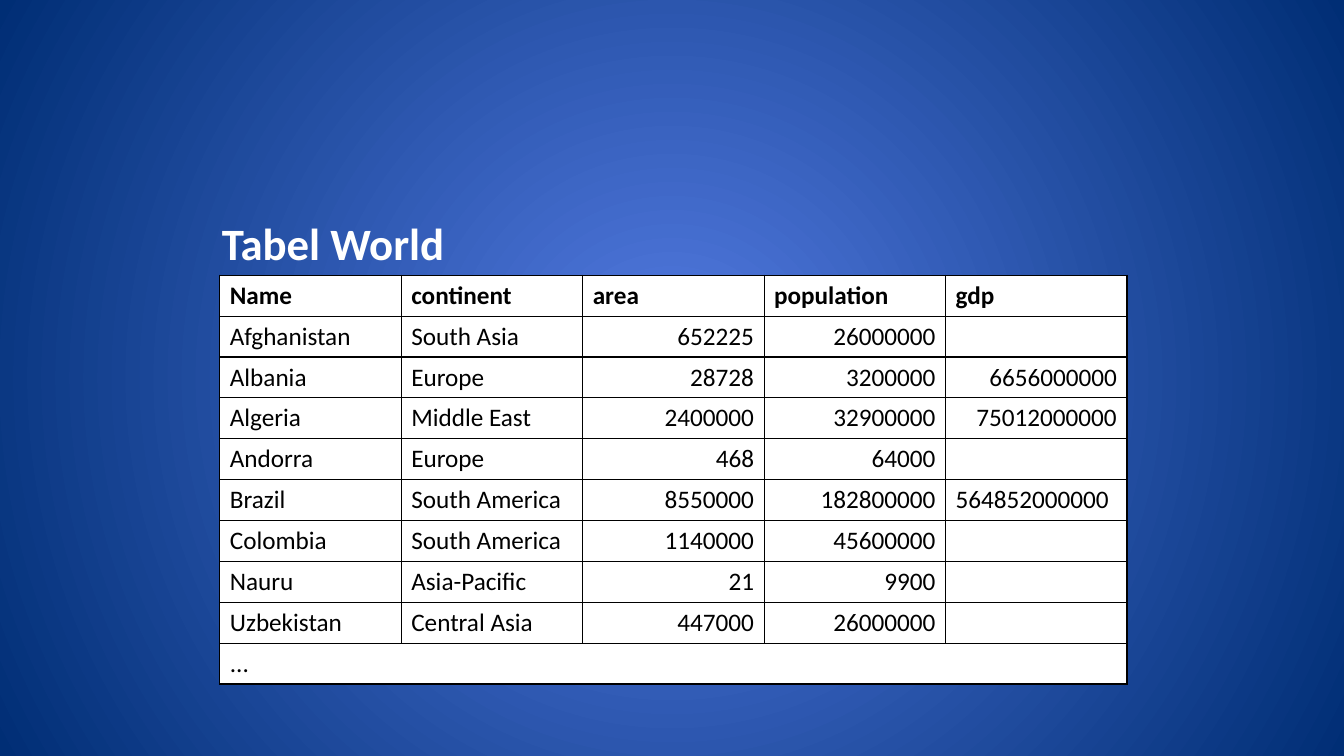
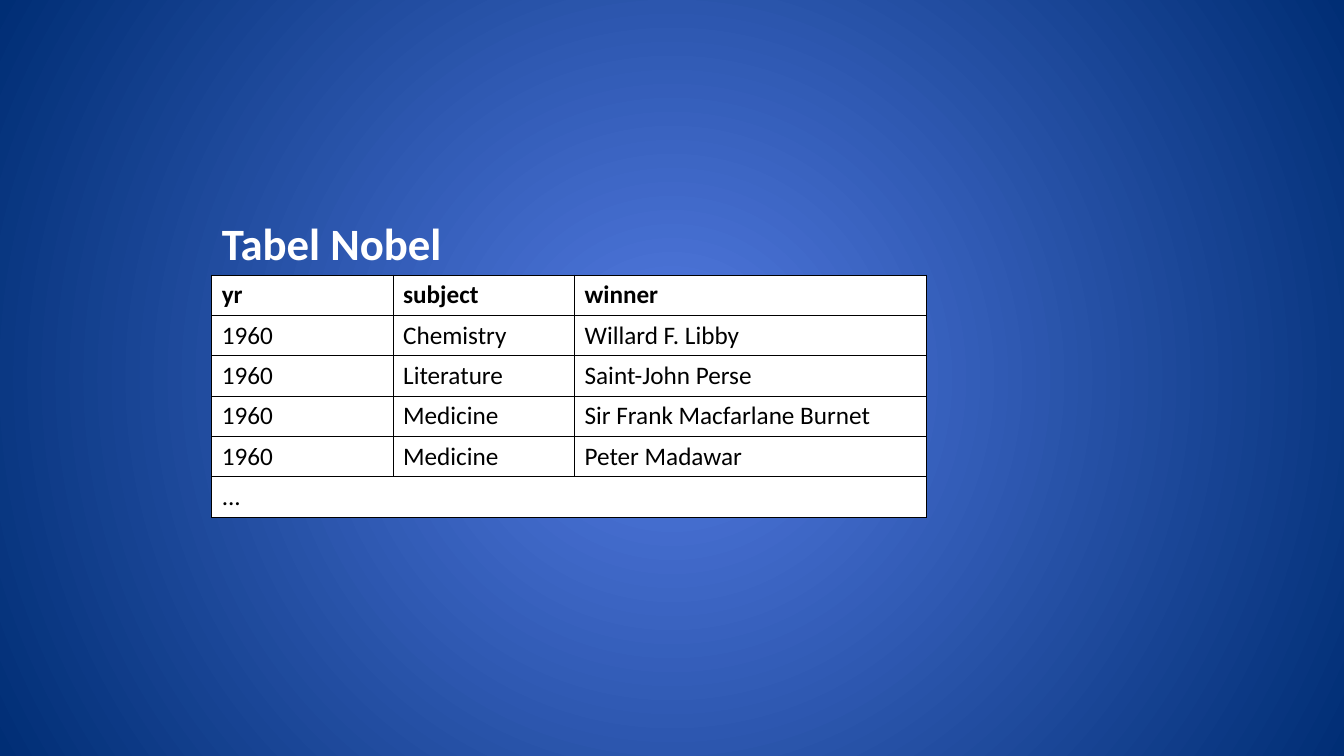
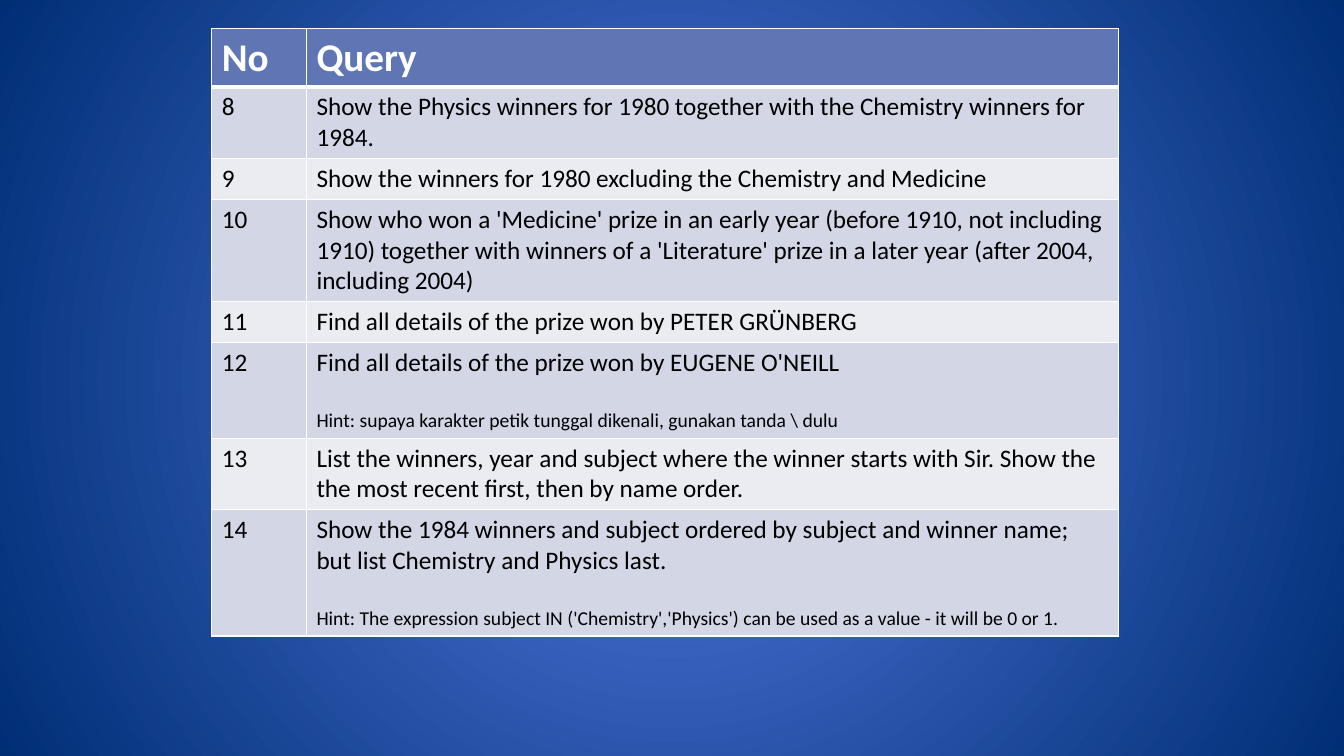
"""Build three slides: two sample data tables and a table of query exercises."""
from lxml.etree import SubElement
from pptx import Presentation
from pptx.dml.color import RGBColor
from pptx.enum.text import MSO_ANCHOR, MSO_AUTO_SIZE, PP_ALIGN
from pptx.oxml import parse_xml
from pptx.oxml.ns import nsdecls, qn
from pptx.util import Pt

COLORS = {
    "white": "FFFFFF",
    "black": "000000",
    "glow": "547BE2",
    "navy": "002E75",
    "header": "6076B4",
    "band_dark": "D2D6E5",
    "band_light": "EAECF2",
}
FONT = "Calibri"
LEFT = 151.2
COL = 129.6
LINE = 22


def style_run(r, size, color, bold=False):
    r.font.name = FONT
    r.font.size = Pt(size)
    r.font.bold = bold
    r.font.color.rgb = RGBColor.from_string(COLORS[color])


def add_grid(s, left, top, widths, heights, rows, fills, line, head_color, head_size, head_rule, pad):
    frame = s.shapes.add_table(len(rows), len(widths), Pt(left), Pt(top), Pt(sum(widths)), Pt(sum(heights)))
    table = frame.table
    for column, width in zip(table.columns, widths):
        column.width = Pt(width)
    for i, (row, height) in enumerate(zip(rows, heights)):
        table.rows[i].height = Pt(height)
        for j in range(len(widths)):
            cell = table.cell(i, j)
            cell.margin_top = cell.margin_bottom = Pt(pad)
            cell.fill.solid()
            fill = fills[0] if i == 0 else fills[1 + (i - 1) % 2]
            cell.fill.fore_color.rgb = RGBColor.from_string(COLORS[fill])
            sides = {"L": 1, "R": 1, "T": head_rule if i == 1 else 1, "B": head_rule if i == 0 else 1}
            tcPr = cell._tc.get_or_add_tcPr()
            for n, (side, weight) in enumerate(sides.items()):
                ln = parse_xml(f'<a:ln{side} {nsdecls("a")} w="{Pt(weight)}"/>')
                solid = SubElement(ln, qn("a:solidFill"))
                SubElement(solid, qn("a:srgbClr"), val=COLORS[line])
                tcPr.insert(n, ln)
            text = row[j] if j < len(row) else ""
            if not text:
                continue
            tf = cell.text_frame
            for k, part in enumerate(text.split("\n")):
                p = tf.add_paragraph() if k else tf.paragraphs[0]
                r = p.add_run()
                r.text = part
                if i == 0:
                    style_run(r, head_size, head_color, True)
                else:
                    style_run(r, 14 if k else 18, "black")
                if k:
                    p.space_before = Pt(LINE)
                if i and j >= 2 and part.isdigit() and len(part) < 12:
                    p.alignment = PP_ALIGN.RIGHT
        if len(row) == 1:
            table.cell(i, 0).merge(table.cell(i, len(widths) - 1))


prs = Presentation()
prs.slide_width, prs.slide_height = Pt(960), Pt(540)

cSld = prs.slide_master.element.cSld
old_bg = cSld.find(qn("p:bg"))
if old_bg is not None:
    cSld.remove(old_bg)
cSld.insert(0, parse_xml(
    f'<p:bg {nsdecls("p", "a")}><p:bgPr><a:gradFill rotWithShape="1"><a:gsLst>'
    f'<a:gs pos="0"><a:srgbClr val="{COLORS["glow"]}"/></a:gs>'
    f'<a:gs pos="100000"><a:srgbClr val="{COLORS["navy"]}"/></a:gs></a:gsLst>'
    '<a:path path="circle"><a:fillToRect l="50000" t="50000" r="50000" b="50000"/></a:path>'
    '</a:gradFill><a:effectLst/></p:bgPr></p:bg>'
))

world = [
    ["Name", "continent", "area", "population", "gdp"],
    ["Afghanistan", "South Asia", "652225", "26000000", ""],
    ["Albania", "Europe", "28728", "3200000", "6656000000"],
    ["Algeria", "Middle East", "2400000", "32900000", "75012000000"],
    ["Andorra", "Europe", "468", "64000", ""],
    ["Brazil", "South America", "8550000", "182800000", "564852000000"],
    ["Colombia", "South America", "1140000", "45600000", ""],
    ["Nauru", "Asia-Pacific", "21", "9900", ""],
    ["Uzbekistan", "Central Asia", "447000", "26000000", ""],
    ["..."],
]
nobel = [
    ["yr", "subject", "winner"],
    ["1960", "Chemistry", "Willard F. Libby"],
    ["1960", "Literature", "Saint-John Perse"],
    ["1960", "Medicine", "Sir Frank Macfarlane Burnet"],
    ["1960", "Medicine", "Peter Madawar"],
    ["..."],
]
data_slides = [
    ("Tabel World", world, 157, [COL] * 5, 29.2, 3.6),
    ("Tabel Nobel", nobel, LEFT, [COL, COL, 251.3], 28.8, 3.4),
]
for title, rows, left, widths, height, pad in data_slides:
    s = prs.slides.add_slide(prs.slide_layouts[5])
    sp = s.shapes.title
    sp.left, sp.top, sp.width, sp.height = Pt(LEFT), Pt(150.5), Pt(175), Pt(46)
    tf = sp.text_frame
    tf.word_wrap = False
    tf.auto_size = MSO_AUTO_SIZE.NONE
    tf.vertical_anchor = MSO_ANCHOR.MIDDLE
    p = tf.paragraphs[0]
    p.alignment = PP_ALIGN.LEFT
    r = p.add_run()
    r.text = title
    style_run(r, 32, "white", True)
    add_grid(s, left, 196.6, widths, [height] * len(rows), rows,
             ["white"] * 3, "black", "black", 18, 1, pad)

queries = [
    ["No", "Query"],
    ["8", "Show the Physics winners for 1980 together with the Chemistry winners for 1984."],
    ["9", "Show the winners for 1980 excluding the Chemistry and Medicine"],
    ["10", "Show who won a 'Medicine' prize in an early year (before 1910, not including 1910) "
           "together with winners of a 'Literature' prize in a later year (after 2004, including 2004)"],
    ["11", "Find all details of the prize won by PETER GRÜNBERG"],
    ["12", "Find all details of the prize won by EUGENE O'NEILL\n"
           "Hint: supaya karakter petik tunggal dikenali, gunakan tanda \\ dulu"],
    ["13", "List the winners, year and subject where the winner starts with Sir. "
           "Show the the most recent first, then by name order."],
    ["14", "Show the 1984 winners and subject ordered by subject and winner name; "
           "but list Chemistry and Physics last.\n"
           "Hint: The expression subject IN ('Chemistry','Physics') can be used as a value - it will be 0 or 1."],
]
heights = [41.4, 51.2, 29.2, 73.2, 29.2, 68.2, 51.2, 90.2]
s = prs.slides.add_slide(prs.slide_layouts[6])
add_grid(s, LEFT, 20.5, [67.7, 580.3], heights, queries,
         ["header", "band_dark", "band_light"], "white", "white", 28, 3, 3.6)

prs.save("out.pptx")
